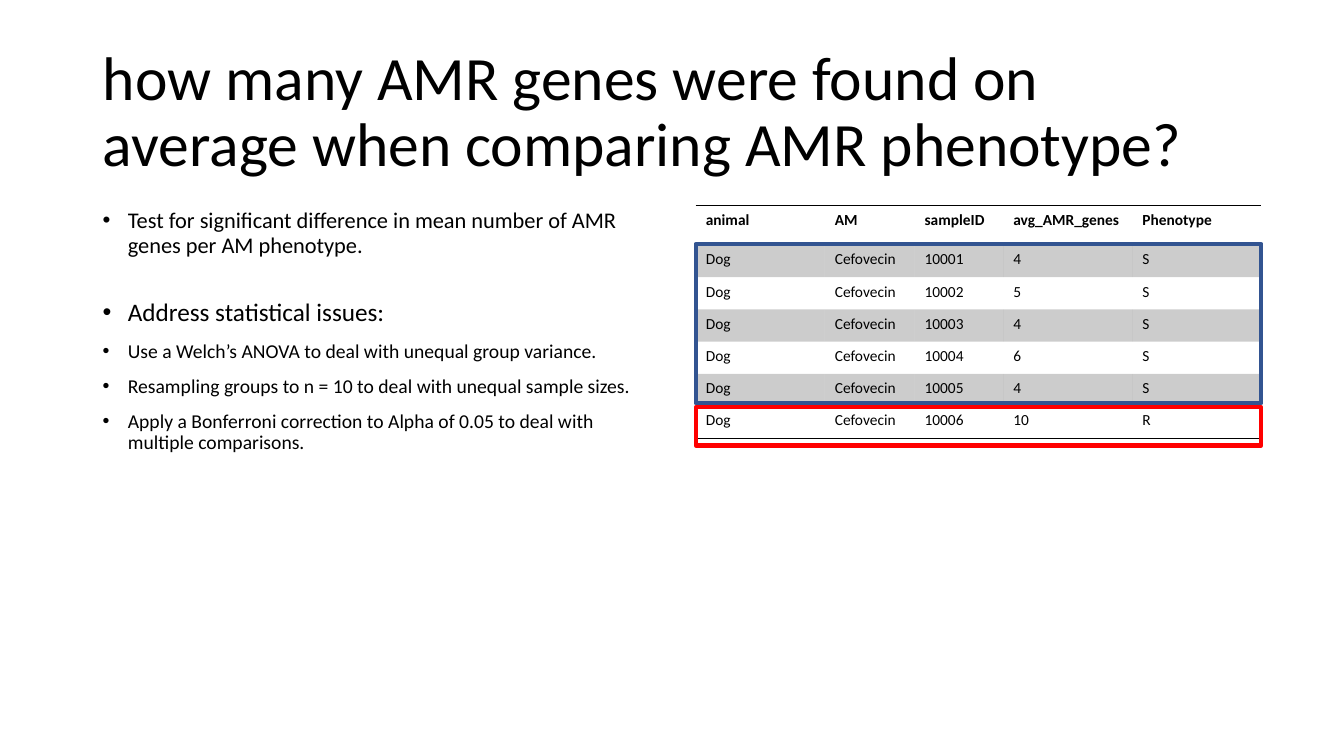
from lxml import etree
from pptx import Presentation
from pptx import util as u
from pptx.dml import color
from pptx.enum import shapes, text
from pptx.oxml import ns

TITLE = "how many AMR genes were found on average when comparing AMR phenotype?"
POINTS = [
    ("Test for significant difference in mean number of AMR genes per AM phenotype.", 16, 10),
    ("Address statistical issues:", 18, 30),
    ("Use a Welch’s ANOVA to deal with unequal group variance.", 14, 10),
    ("Resampling groups to n = 10 to deal with unequal sample sizes.", 14, 10),
    ("Apply a Bonferroni correction to Alpha of 0.05 to deal with multiple comparisons.", 14, 10),
]
HEAD = ["animal", "AM", "sampleID", "avg_AMR_genes", "Phenotype"]
GENES = [(4, "S"), (5, "S"), (4, "S"), (6, "S"), (4, "S"), (10, "R")]
ROWS = [HEAD] + [
    ["Dog", "Cefovecin", str(10001 + i), str(count), kind]
    for i, (count, kind) in enumerate(GENES)
]
WIDTHS = [1.28, 0.89, 0.88, 1.28, 1.28]
HEAD_H, ROW_H = 0.39, 0.32
LEFT, TOP = 6.9, 2.04
THEME = {
    "font": "Calibri", "ink": "000000", "sens": "325491", "res": "FF0000",
    "title": 44, "cell": 11, "rule": 1, "frame": 3, "band": 20,
}
FRAMES = [("sens", 2.42, 1.58), ("res", 4.04, 0.38)]
PLAIN = "{2D5ABB26-0587-4C30-8999-92F81FD0307C}"


def rgb(name):
    return color.RGBColor.from_string(THEME[name])


def style(para, size, bold=False):
    for run in para.runs:
        font = run.font
        font.name, font.size, font.bold = THEME["font"], u.Pt(size), bold
        font.color.rgb = rgb("ink")


def add_bullet(para):
    props = para._p.get_or_add_pPr()
    props.set("marL", str(u.Inches(0.25)))
    props.set("indent", str(-u.Inches(0.25)))
    etree.SubElement(props, ns.qn("a:buFont"), typeface="Arial")
    etree.SubElement(props, ns.qn("a:buChar"), char="•")


def add_rule(cell, side):
    line = etree.Element(ns.qn("a:ln" + side), w=str(u.Pt(THEME["rule"])))
    fill = etree.SubElement(line, ns.qn("a:solidFill"))
    etree.SubElement(fill, ns.qn("a:srgbClr"), val=THEME["ink"])
    cell._tc.get_or_add_tcPr().insert(0, line)


def fill_cell(cell, band):
    if not band:
        cell.fill.background()
        return
    cell.fill.solid()
    cell.fill.fore_color.rgb = rgb("ink")
    tint = cell._tc.tcPr.find(".//" + ns.qn("a:srgbClr"))
    etree.SubElement(tint, ns.qn("a:alpha"), val=str(THEME["band"] * 1000))


def add_title(slide):
    title = slide.shapes.title
    title.left, title.top = u.Inches(0.92), u.Inches(0.4)
    title.width, title.height = u.Inches(11.5), u.Inches(1.45)
    frame = title.text_frame
    frame.text = TITLE
    frame.auto_size = text.MSO_AUTO_SIZE.NONE
    frame.vertical_anchor = text.MSO_ANCHOR.MIDDLE
    para = frame.paragraphs[0]
    para.alignment, para.line_spacing = text.PP_ALIGN.LEFT, 0.9
    style(para, THEME["title"])


def add_points(slide):
    box = slide.shapes.add_textbox(*map(u.Inches, (0.92, 2.03, 5.67, 4.76)))
    frame = box.text_frame
    frame.word_wrap = True
    frame.text = "\n".join(point[0] for point in POINTS)
    for para, (_, size, gap) in zip(frame.paragraphs, POINTS):
        para.line_spacing, para.space_before = 0.9, u.Pt(gap)
        add_bullet(para)
        style(para, size)


def add_grid(slide):
    high = HEAD_H + ROW_H * len(GENES)
    area = map(u.Inches, (LEFT, TOP, sum(WIDTHS), high))
    table = slide.shapes.add_table(len(ROWS), len(HEAD), *area).table
    table.horz_banding = False
    table._tbl.tblPr.find(ns.qn("a:tableStyleId")).text = PLAIN
    for col, width in zip(table.columns, WIDTHS):
        col.width = u.Inches(width)
    for r, row in enumerate(ROWS):
        table.rows[r].height = u.Inches(ROW_H if r else HEAD_H)
        for c, value in enumerate(row):
            cell = table.cell(r, c)
            cell.text = value
            style(cell.text_frame.paragraphs[0], THEME["cell"], r == 0)
            fill_cell(cell, r % 2 == 1)
            if r in (0, len(ROWS) - 1):
                add_rule(cell, "B")
            if r == 0:
                add_rule(cell, "T")


def add_frames(slide):
    for name, top, high in FRAMES:
        area = map(u.Inches, (LEFT, top, sum(WIDTHS), high))
        rect = slide.shapes.add_shape(shapes.MSO_SHAPE.RECTANGLE, *area)
        rect.shadow.inherit = False
        rect.fill.background()
        rect.line.color.rgb = rgb(name)
        rect.line.width = u.Pt(THEME["frame"])


def main():
    deck = Presentation()
    deck.slide_width, deck.slide_height = u.Inches(13.33), u.Inches(7.5)
    slide = deck.slides.add_slide(deck.slide_layouts[5])
    add_title(slide)
    add_grid(slide)
    add_points(slide)
    add_frames(slide)
    deck.save("out.pptx")


if __name__ == "__main__":
    main()
